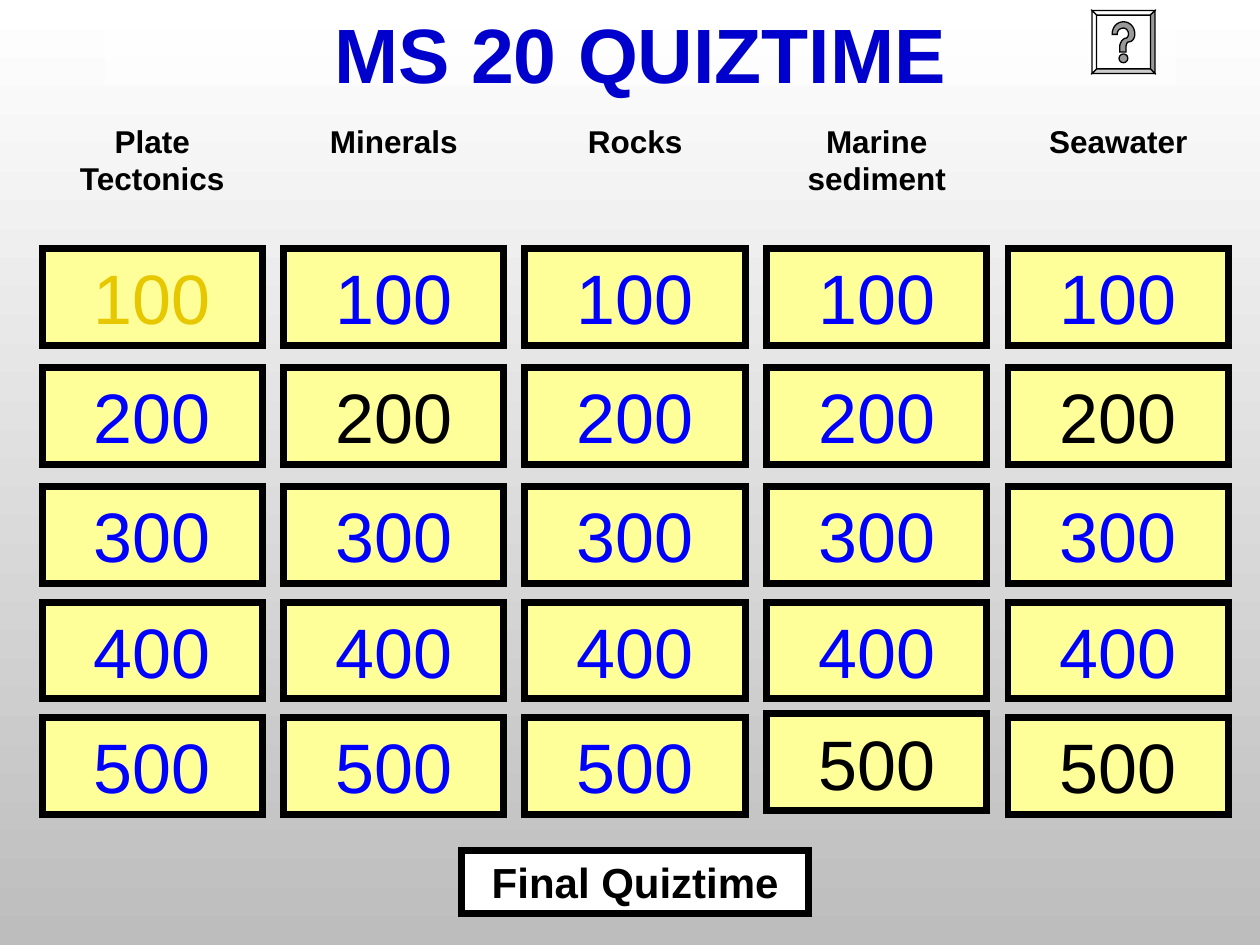
from lxml import etree
from pptx import Presentation
from pptx.dml.color import RGBColor
from pptx.enum import shapes as sh, text as tx
from pptx.oxml import ns
from pptx.util import Pt

BLUE, BLACK, GOLD = "0000FF", "000000", "E6C700"
TOPICS = ["Plate Tectonics", "Minerals", "Rocks", "Marine sediment", "Seawater"]
ROWS = [142, 210, 278, 344, 410]
INKS = {(0, 0): GOLD, (1, 1): BLACK, (4, 1): BLACK, (3, 4): BLACK, (4, 4): BLACK}
HOOK = [
    [(27, 33)], [(27, 29)],
    [(27, 27), (28, 25), (29, 25)],
    [(32, 25), (34, 22), (34, 19)],
    [(34, 13), (30, 9), (25, 9)],
    [(20, 9), (16, 13), (16, 19)],
    [(20, 19)],
    [(20, 16), (22, 14), (25, 14)],
    [(27, 14), (29, 16), (29, 19)],
    [(29, 20), (28, 22), (27, 22)],
    [(25, 22), (22, 25), (22, 29)],
    [(22, 33)],
]


def hue(code):
    return RGBColor.from_string(code)


def paint(shape, fill, line, width=0.75):
    shape.shadow.inherit = False
    shape.fill.solid()
    shape.fill.fore_color.rgb = hue(fill)
    shape.line.color.rgb = hue(line)
    shape.line.width = Pt(width)
    edge = shape.fill._xPr.find(ns.qn("a:ln"))
    etree.SubElement(edge, ns.qn("a:miter"), lim="800000")


def write(shape, words, size, color=BLACK, bold=False):
    frame = shape.text_frame
    frame.word_wrap = True
    frame.auto_size = tx.MSO_AUTO_SIZE.NONE
    frame.vertical_anchor = tx.MSO_ANCHOR.TOP
    frame.margin_left = frame.margin_right = Pt(7.2)
    frame.margin_top = frame.margin_bottom = Pt(3.6)
    para = frame.paragraphs[0]
    para.alignment = tx.PP_ALIGN.CENTER
    run = para.add_run()
    run.text = words
    font = run.font
    font.name, font.size, font.bold = "Arial", Pt(size), bold
    font.color.rgb = hue(color)


def tile(slide, x, y, w, h, fill, words, **form):
    box = slide.shapes.add_shape(sh.MSO_SHAPE.RECTANGLE, Pt(x), Pt(y), Pt(w), Pt(h))
    paint(box, fill, BLACK, 4)
    write(box, words, **form)


def head(slide, x, y, w, h):
    title = slide.shapes.title
    title.left, title.top, title.width, title.height = Pt(x), Pt(y), Pt(w), Pt(h)
    title.fill.solid()
    title.fill.fore_color.rgb = hue("FFFFFF")
    color = title.fill._xPr.find(".//" + ns.qn("a:srgbClr"))
    etree.SubElement(color, ns.qn("a:alpha"), val="50000")
    write(title, "MS 20 QUIZTIME", size=44, color="0000CC", bold=True)


def board(slide, x, y, w, gap):
    for col, topic in enumerate(TOPICS):
        left = x + col * (w + gap)
        label = slide.shapes.add_textbox(Pt(left), Pt(y), Pt(w), Pt(50.4 if " " in topic else 28.8))
        write(label, topic, size=18, bold=True)
        for row, top in enumerate(ROWS):
            lift = 2 if (col, row) == (3, 4) else 0
            tile(slide, left, top - lift, w, 55.2, "FFFF99", str(100 * (row + 1)),
                 size=40, color=INKS.get((col, row), BLUE))


def curve(parts, steps=8):
    dots = []
    for part in parts:
        if len(part) == 1:
            dots += part
            continue
        a, (b, c, d) = dots[-1], part
        for i in range(1, steps + 1):
            t = i / steps
            s = 1 - t
            dots.append(tuple(s**3 * p + 3 * s * s * t * q + 3 * s * t * t * r + t**3 * e
                              for p, q, r, e in zip(a, b, c, d)))
    return dots


def help_key(slide, x, y, side):
    unit = side / 50

    def place(dots, fill):
        spots = [(Pt(x + p * unit), Pt(y + q * unit)) for p, q in dots]
        form = slide.shapes.build_freeform(*spots[0])
        form.add_line_segments(spots[1:], close=True)
        paint(form.convert_to_shape(), fill, BLACK)

    outer = [(0, 0), (50, 0), (50, 50), (0, 50)]
    inner = [(3.5, 3.5), (46.5, 3.5), (46.5, 46.5), (3.5, 46.5)]
    place(inner, "FFFFFF")
    for i, fill in enumerate(["FFFFFF", "999999", "CCCCCC", "FFFFFF"]):
        j = (i + 1) % 4
        place([outer[i], outer[j], inner[j], inner[i]], fill)
    place(curve(HOOK), "999999")
    dot = slide.shapes.add_shape(sh.MSO_SHAPE.OVAL, Pt(x + 21.5 * unit), Pt(y + 34.5 * unit),
                                 Pt(7 * unit), Pt(7 * unit))
    paint(dot, "999999", BLACK)


def main():
    deck = Presentation()
    deck.slide_width, deck.slide_height = Pt(720), Pt(540)
    slide = deck.slides.add_slide(deck.slide_layouts[5])
    fill = slide.background.fill
    fill.gradient()
    fill.gradient_angle = 270
    for stop, code in zip(fill.gradient_stops, ["FFFFFF", "BDBDBD"]):
        stop.color.rgb = hue(code)
    head(slide, 60, 0, 612, 48)
    board(slide, 24, 66, 126, 12)
    help_key(slide, 624, 6, 36)
    tile(slide, 264, 486, 198, 36, "FFFFFF", "Final Quiztime", size=24, bold=True)
    deck.save("out.pptx")


if __name__ == "__main__":
    main()
